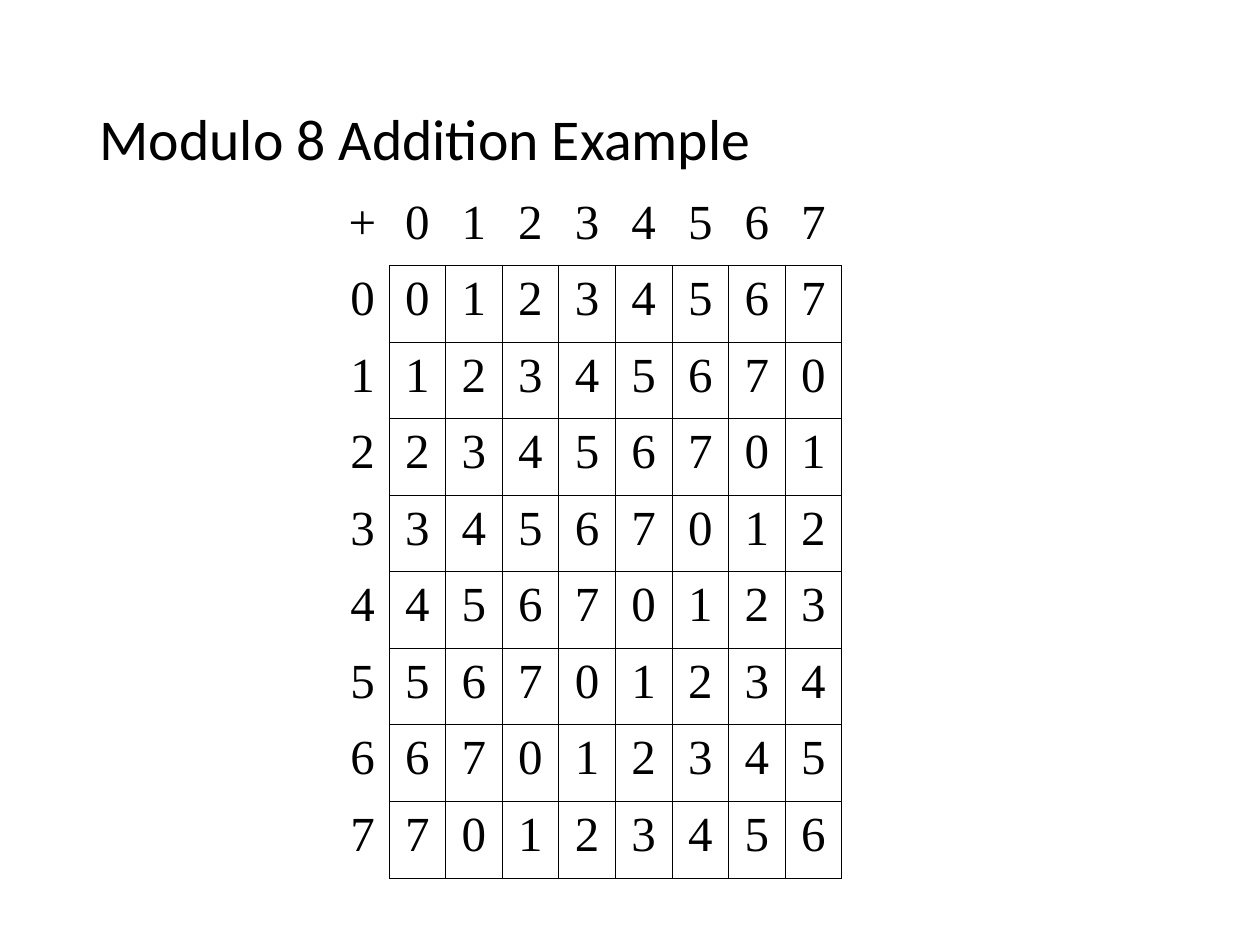
import pptx
import pptx.dml.color
import pptx.enum.text
import pptx.oxml.ns
import pptx.util
import lxml.etree

SCALE = 914400 / 126
MODULUS = 8


def px(n):
    return pptx.util.Emu(round(n * SCALE))


def color(value):
    return pptx.dml.color.RGBColor.from_string(value)


def write(tf, text, font, size, ink, align=None, after=0, spacing=None):
    p = tf.paragraphs[0]
    p.alignment = align
    p.space_after = pptx.util.Pt(after)
    p.line_spacing = spacing
    r = p.add_run()
    r.text = text
    r.font.name = font
    r.font.size = pptx.util.Pt(size)
    r.font.color.rgb = color(ink)


class Deck:
    title_font = "Calibri"
    table_font = "Times New Roman"
    ink = "000000"
    border = 0.45

    def __init__(self, width, height):
        self.prs = pptx.Presentation()
        self.prs.slide_width = px(width)
        self.prs.slide_height = px(height)
        self.s = self.prs.slides.add_slide(self.prs.slide_layouts[6])

    def title(self, text, x, y, w, h):
        sp = self.s.shapes.add_textbox(px(x), px(y), px(w), px(h))
        tf = sp.text_frame
        tf.word_wrap = True
        tf.vertical_anchor = pptx.enum.text.MSO_ANCHOR.MIDDLE
        write(tf, text, self.title_font, 33, self.ink, spacing=0.9)

    def borders(self, cell, drawn):
        qn = pptx.oxml.ns.qn
        tc_pr = cell._tc.get_or_add_tcPr()
        for i, side in enumerate("LRTB"):
            ln = lxml.etree.Element(qn(f"a:ln{side}"), w=str(pptx.util.Pt(self.border)))
            if side in drawn:
                fill = lxml.etree.SubElement(ln, qn("a:solidFill"))
                lxml.etree.SubElement(fill, qn("a:srgbClr"), val=self.ink)
            else:
                lxml.etree.SubElement(ln, qn("a:noFill"))
            tc_pr.insert(i, ln)

    def table(self, rows, x, y, label_w, grid_w, h):
        count = len(rows)
        frame = self.s.shapes.add_table(
            count, count, px(x), px(y), px(label_w + grid_w), px(h))
        table = frame.table
        table.first_row = False
        table.horz_banding = False
        for row in table.rows:
            row.height = px(h / count)
        for c, column in enumerate(table.columns):
            column.width = px(grid_w / (count - 1) if c else label_w)
        for r, values in enumerate(rows):
            for c, value in enumerate(values):
                cell = table.cell(r, c)
                cell.fill.background()
                drawn = "LRTB" if r and c else "R" if r else "B" if c else ""
                self.borders(cell, drawn)
                write(cell.text_frame, str(value), self.table_font, 28, self.ink,
                      align=pptx.enum.text.PP_ALIGN.CENTER, after=3)


def main():
    deck = Deck(1260, 945)
    deck.title("Modulo 8 Addition Example", 87, 50, 1087, 183)
    digits = range(MODULUS)
    rows = [["+", *digits]]
    rows += [[a, *((a + b) % MODULUS for b in digits)] for a in digits]
    deck.table(rows, 336, 189, 53, 453, 689)
    deck.prs.save("out.pptx")


if __name__ == "__main__":
    main()
